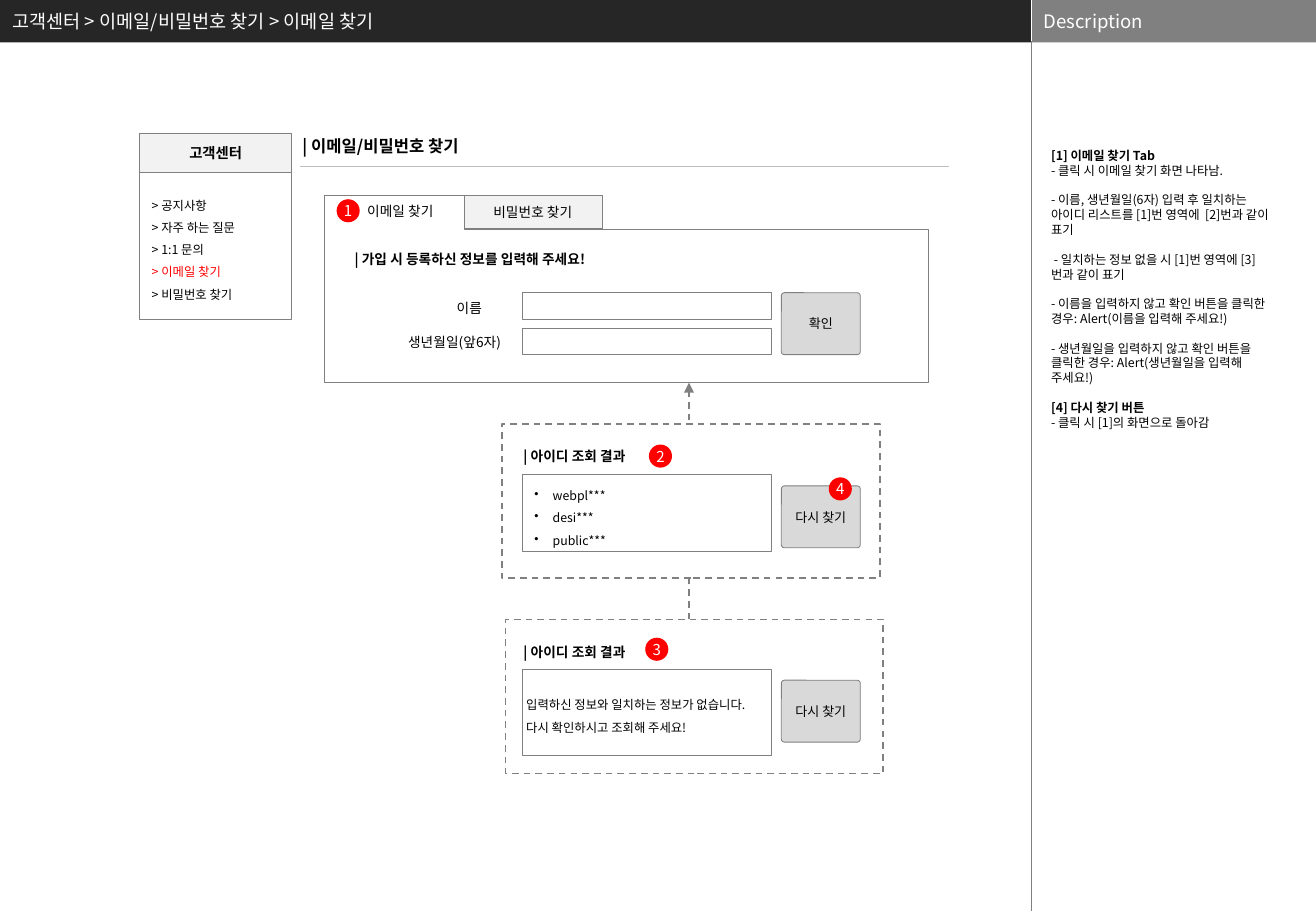
"""Build the storyboard slide for the e-mail lookup screen."""
from dataclasses import dataclass

from lxml.etree import SubElement
from pptx import Presentation
from pptx.dml.color import RGBColor
from pptx.enum.dml import MSO_LINE
from pptx.enum.shapes import MSO_CONNECTOR, MSO_SHAPE
from pptx.enum.text import MSO_ANCHOR, MSO_AUTO_SIZE, PP_ALIGN
from pptx.oxml.ns import qn
from pptx.slide import Slide
from pptx.text.text import TextFrame
from pptx.util import Emu, Pt

EMU_PER_PX = 9144


@dataclass(frozen=True)
class Theme:
    """Font, colours and type sizes."""
    font: str = "Noto Sans CJK KR"
    black: str = "000000"
    white: str = "FFFFFF"
    red: str = "FF0000"
    header: str = "262626"
    gray: str = "808080"
    rule: str = "BFBFBF"
    button: str = "D9D9D9"
    tab: str = "F2F2F2"
    header_size: float = 11
    title_size: float = 9.8
    badge_size: float = 8.9
    menu_size: float = 8.5
    label_size: float = 8.1
    button_size: float = 7.7
    note_size: float = 7.3
    note_gap: float = 8.75


THEME = Theme()


@dataclass(frozen=True)
class Line:
    """One paragraph of text."""
    text: str
    color: str = THEME.black
    bold: bool = False
    before: float = 0


@dataclass(frozen=True)
class Box:
    """One shape with its outline, fill and text."""
    left: int
    top: int
    width: int
    height: int
    lines: tuple[Line, ...] = ()
    kind: MSO_SHAPE = MSO_SHAPE.RECTANGLE
    fill: str | None = None
    border: str | None = THEME.gray
    dashed: bool = False
    adjustments: tuple[float, ...] = ()
    size: float = THEME.label_size
    align: PP_ALIGN = PP_ALIGN.LEFT
    anchor: MSO_ANCHOR = MSO_ANCHOR.MIDDLE
    inset: tuple[int, int] = (10, 5)
    spacing: float = 1
    bullet: bool = False


@dataclass(frozen=True)
class Rule:
    """One straight line."""
    start: tuple[int, int]
    end: tuple[int, int]
    color: str
    weight: float
    arrow: bool = False


def px(value: int) -> Emu:
    """Turn px into EMU."""
    return Emu(value * EMU_PER_PX)


def write_text(frame: TextFrame, lines: tuple[Line, ...], *, size: float,
               align: PP_ALIGN = PP_ALIGN.LEFT, anchor: MSO_ANCHOR = MSO_ANCHOR.MIDDLE,
               inset: tuple[int, int] = (10, 5), spacing: float = 1,
               bullet: bool = False) -> None:
    """Fill a text frame with formatted paragraphs."""
    frame.word_wrap = True
    frame.auto_size = MSO_AUTO_SIZE.NONE
    frame.vertical_anchor = anchor
    frame.margin_left = frame.margin_right = px(inset[0])
    frame.margin_top = frame.margin_bottom = px(inset[1])
    for index, line in enumerate(lines):
        paragraph = frame.add_paragraph() if index else frame.paragraphs[0]
        paragraph.alignment = align
        paragraph.line_spacing = spacing
        paragraph.space_before = Pt(line.before)
        properties = paragraph._p.get_or_add_pPr()
        indent = px(15) if bullet else 0
        properties.set("marL", str(indent))
        properties.set("indent", str(-indent))
        if bullet:
            SubElement(properties, qn("a:buChar"), char="•")
        else:
            SubElement(properties, qn("a:buNone"))
        run = paragraph.add_run()
        run.text = line.text
        run.font.size = Pt(size)
        run.font.bold = line.bold
        run.font.color.rgb = RGBColor.from_string(line.color)
        run.font.name = THEME.font
        SubElement(run._r.get_or_add_rPr(), qn("a:ea"), typeface=THEME.font)


def draw_box(slide: Slide, box: Box) -> None:
    """Draw one box."""
    shape = slide.shapes.add_shape(
        box.kind, px(box.left), px(box.top), px(box.width), px(box.height))
    shape.shadow.inherit = False
    for index, value in enumerate(box.adjustments):
        shape.adjustments[index] = value
    if box.fill:
        shape.fill.solid()
        shape.fill.fore_color.rgb = RGBColor.from_string(box.fill)
    else:
        shape.fill.background()
    if box.border:
        shape.line.color.rgb = RGBColor.from_string(box.border)
        shape.line.width = Pt(1 if box.dashed else 0.5)
        if box.dashed:
            shape.line.dash_style = MSO_LINE.DASH
    else:
        shape.line.fill.background()
    if box.lines:
        write_text(shape.text_frame, box.lines, size=box.size, align=box.align,
                   anchor=box.anchor, inset=box.inset, spacing=box.spacing, bullet=box.bullet)


def draw_rule(slide: Slide, rule: Rule) -> None:
    """Draw one line, dashed when it carries an arrowhead."""
    connector = slide.shapes.add_connector(
        MSO_CONNECTOR.STRAIGHT, *map(px, rule.start + rule.end))
    connector.line.color.rgb = RGBColor.from_string(rule.color)
    connector.line.width = Pt(rule.weight)
    if rule.arrow:
        connector.line.dash_style = MSO_LINE.DASH
        SubElement(connector.line._get_or_add_ln(), qn("a:tailEnd"), type="triangle")
    SubElement(connector._element.spPr, qn("a:effectLst"))


def label(text: str, left: int, top: int, width: int, bold: bool = False,
          size: float = THEME.label_size, height: int = 24) -> Box:
    """Describe text without outline or fill."""
    return Box(left, top, width, height, (Line(text, bold=bold),), border=None,
               size=size, anchor=MSO_ANCHOR.TOP)


def button(text: str, top: int) -> Box:
    """Describe a gray button."""
    return Box(643, top, 65, 51, (Line(text),), MSO_SHAPE.ROUNDED_RECTANGLE, THEME.button,
               adjustments=(0.05,), size=THEME.button_size, align=PP_ALIGN.CENTER, inset=(4, 4))


def badge(number: int, left: int, top: int) -> Box:
    """Describe a numbered red circle."""
    return Box(left, top, 19, 19, (Line(str(number), THEME.white),), MSO_SHAPE.OVAL, THEME.red,
               border=None, size=THEME.badge_size, align=PP_ALIGN.CENTER, inset=(0, 0))


FLOW_ARROW = Rule((567, 510), (567, 315), THEME.gray, 1, arrow=True)
DIVIDERS = (
    Rule((849, 0), (849, 35), THEME.white, 0.25),
    Rule((849, 34), (849, 750), THEME.gray, 0.25),
    Rule((247, 137), (781, 137), THEME.rule, 0.75),
)
MENU = ("> 공지사항", "> 자주 하는 질문", "> 1:1 문의", "> 이메일 찾기", "> 비밀번호 찾기")
BOXES = (
    Box(413, 349, 311, 127, fill=THEME.white, dashed=True),
    Box(416, 510, 311, 127, dashed=True),
    Box(381, 161, 115, 27, (Line("비밀번호 찾기"),), fill=THEME.tab, align=PP_ALIGN.CENTER),
    Box(267, 161, 497, 154, kind=MSO_SHAPE.CORNER, fill=THEME.white, adjustments=(0.82, 0.75)),
    Box(273, 161, 113, 25, (Line("이메일 찾기"),), border=None, align=PP_ALIGN.CENTER),
    label("| 가입 시 등록하신 정보를 입력해 주세요!", 282, 202, 234, bold=True),
    label("이름", 366, 242, 43),
    label("생년월일(앞6자)", 326, 270, 102),
    *(Box(430, top, 205, 22) for top in (241, 270)),
    *(label("| 아이디 조회 결과", 421, top, 116, bold=True) for top in (364, 525)),
    Box(430, 391, 205, 63, tuple(map(Line, ("webpl***", "desi***", "public***"))),
        fill=THEME.white, size=THEME.note_size, anchor=MSO_ANCHOR.TOP, spacing=1.5, bullet=True),
    Box(430, 551, 205, 71,
        (Line("입력하신 정보와 일치하는 정보가 없습니다."), Line("다시 확인하시고 조회해 주세요!")),
        size=THEME.note_size, inset=(3, 3), spacing=1.5),
    button("확인", 241),
    button("다시 찾기", 400),
    button("다시 찾기", 560),
    badge(1, 277, 164),
    badge(2, 534, 366),
    badge(3, 531, 525),
    badge(4, 682, 393),
    label(" | 이메일/비밀번호 찾기", 236, 107, 224, bold=True, size=THEME.title_size, height=27),
    Box(115, 142, 125, 121,
        tuple(Line(item, THEME.red if item == "> 이메일 찾기" else THEME.black) for item in MENU),
        size=THEME.note_size, spacing=1.5),
    Box(115, 110, 125, 32, (Line("고객센터", bold=True),), fill=THEME.tab,
        size=THEME.menu_size, align=PP_ALIGN.CENTER),
    Box(849, 0, 234, 35, (Line("Description", THEME.white),), fill=THEME.gray, border=None,
        size=THEME.header_size),
)
NOTES = (
    Line("[1] 이메일 찾기 Tab", bold=True),
    Line("- 클릭 시 이메일 찾기 화면 나타남."),
    *(Line(text, before=THEME.note_gap) for text in (
        "- 이름, 생년월일(6자) 입력 후 일치하는 아이디 리스트를 [1]번 영역에  [2]번과 같이 표기",
        " - 일치하는 정보 없을 시 [1]번 영역에 [3]번과 같이 표기",
        "- 이름을 입력하지 않고 확인 버튼을 클릭한 경우: Alert(이름을 입력해 주세요!)",
        "- 생년월일을 입력하지 않고 확인 버튼을 클릭한 경우: Alert(생년월일을 입력해 주세요!)")),
    Line("[4] 다시 찾기 버튼", bold=True, before=THEME.note_gap),
    Line("- 클릭 시 [1]의 화면으로 돌아감"),
)


def main() -> None:
    """Build and save the presentation."""
    presentation = Presentation()
    presentation.slide_width, presentation.slide_height = px(1083), px(750)
    slide = presentation.slides.add_slide(presentation.slide_layouts[1])
    title, notes = slide.placeholders
    title.left, title.top, title.width, title.height = map(px, (0, 0, 849, 35))
    title.fill.solid()
    title.fill.fore_color.rgb = RGBColor.from_string(THEME.header)
    write_text(title.text_frame, (Line("고객센터 > 이메일/비밀번호 찾기 > 이메일 찾기", THEME.white),),
               size=THEME.header_size)
    notes.left, notes.top, notes.width, notes.height = map(px, (862, 122, 190, 569))
    write_text(notes.text_frame, NOTES, size=THEME.note_size, anchor=MSO_ANCHOR.TOP, inset=(3, 0))
    draw_rule(slide, FLOW_ARROW)
    for box in BOXES:
        draw_box(slide, box)
    for divider in DIVIDERS:
        draw_rule(slide, divider)
    presentation.save("out.pptx")


if __name__ == "__main__":
    main()
